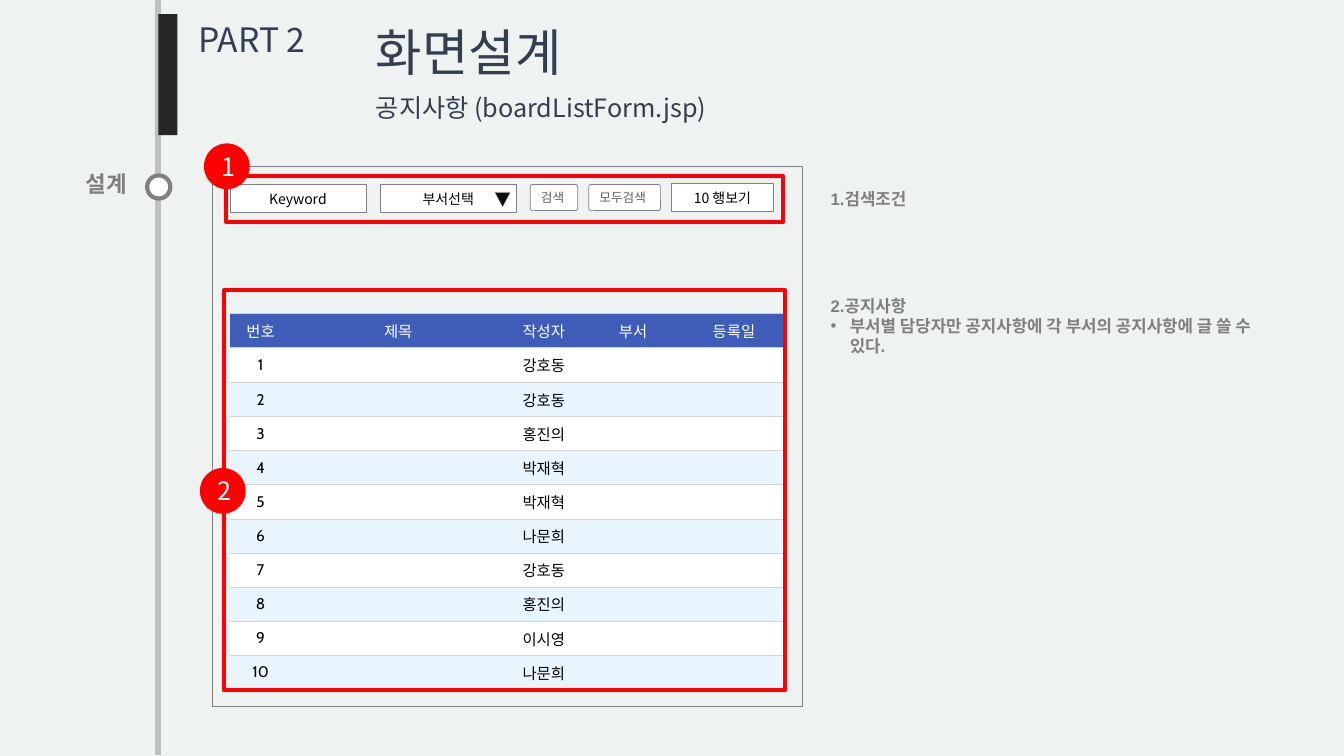
from dataclasses import dataclass

import pptx
import pptx.dml.color
import pptx.enum.shapes
import pptx.enum.text
import pptx.oxml.ns
import pptx.util
from lxml import etree

SHAPE = pptx.enum.shapes.MSO_SHAPE
ALIGN = pptx.enum.text.PP_ALIGN
ANCHOR = pptx.enum.text.MSO_ANCHOR
qn = pptx.oxml.ns.qn
CELL = 0.1  # side of one square of the layout grid, in inches


@dataclass(frozen=True)
class Theme:
    background: str = "EEF2F0"
    rail: str = "BFBFBF"
    bar: str = "262626"
    heading: str = "333F50"
    muted: str = "7F7F7F"
    outline: str = "808080"
    arrow: str = "0D0D0D"
    button: str = "5F5F5F"
    accent: str = "FF0000"
    white: str = "FFFFFF"
    black: str = "000000"
    table_head: str = "3F5DB8"
    table_band: str = "E8F5FF"
    table_rule: str = "D2D2D2"
    korean: str = "Noto Sans CJK KR"
    title: int = 36
    chapter: int = 24
    subtitle: int = 18
    section: int = 16
    note: int = 12
    table: int = 11
    field: int = 10
    small: int = 9


T = Theme()


@dataclass(frozen=True)
class Box:
    """A place on the grid, in columns and rows."""
    col: float
    row: float
    cols: float
    rows: float

    def emu(self) -> list[int]:
        return [grid(n) for n in (self.col, self.row, self.cols, self.rows)]


@dataclass(frozen=True)
class Style:
    size: int
    color: str
    font: str = T.korean
    bold: bool = False


@dataclass(frozen=True)
class Label:
    box: Box
    lines: tuple[str, ...]
    style: Style
    align: ALIGN = ALIGN.LEFT
    wrap: bool = False


@dataclass(frozen=True)
class Control:
    box: Box
    text: str
    button: bool = False


@dataclass(frozen=True)
class Marker:
    frame: Box
    badge_col: float
    badge_row: float


def grid(n: float) -> int:
    return pptx.util.Inches(round(n * CELL, 3))


def rgb(value: str) -> pptx.dml.color.RGBColor:
    return pptx.dml.color.RGBColor.from_string(value)


def add_run(p, text: str, style: Style) -> None:
    r = p.add_run()
    r.text = text
    r.font.size, r.font.bold = pptx.util.Pt(style.size), style.bold
    r.font.name, r.font.color.rgb = style.font, rgb(style.color)
    etree.SubElement(r.font._element, qn("a:ea")).set("typeface", T.korean)


def add_shape(s, kind: SHAPE, box: Box, fill: str = "", line: str = "", width: float = 0):
    sp = s.shapes.add_shape(kind, *box.emu())
    sp.shadow.inherit = False
    if fill:
        sp.fill.solid()
        sp.fill.fore_color.rgb = rgb(fill)
    else:
        sp.fill.background()
    if line:
        sp.line.color.rgb, sp.line.width = rgb(line), pptx.util.Pt(width)
    else:
        sp.line.fill.background()
    return sp


def set_caption(sp, text: str, style: Style, align: ALIGN = ALIGN.CENTER) -> None:
    tf = sp.text_frame
    tf.vertical_anchor = ANCHOR.MIDDLE
    tf.paragraphs[0].alignment = align
    add_run(tf.paragraphs[0], text, style)


def add_label(s, label: Label) -> None:
    tf = s.shapes.add_textbox(*label.box.emu()).text_frame
    tf.word_wrap = label.wrap
    tf.auto_size = pptx.enum.text.MSO_AUTO_SIZE.SHAPE_TO_FIT_TEXT
    for i, line in enumerate(label.lines):
        p = tf.add_paragraph() if i else tf.paragraphs[0]
        p.alignment = label.align
        if i:  # lines below the heading are bulleted
            pPr = p._p.get_or_add_pPr()
            pPr.set("marL", str(grid(1.9)))
            pPr.set("indent", str(-grid(1.9)))
            etree.SubElement(pPr, qn("a:buFont")).set("typeface", "Arial")
            etree.SubElement(pPr, qn("a:buChar")).set("char", "•")
        add_run(p, line, label.style)


def add_control(s, control: Control) -> None:
    if not control.button:
        sp = add_shape(s, SHAPE.RECTANGLE, control.box, T.white, T.outline, 0.25)
        set_caption(sp, control.text, Style(T.field, T.black))
        return
    sp = add_shape(s, SHAPE.ROUNDED_RECTANGLE, control.box, T.white, T.outline, 0.5)
    sp.adjustments[0] = 0.09
    sp.text_frame.word_wrap = False
    set_caption(sp, control.text, Style(T.small, T.button, "Karla"), ALIGN.LEFT)


def add_marker(s, number: int, marker: Marker) -> None:
    add_shape(s, SHAPE.RECTANGLE, marker.frame, line=T.accent, width=2.75)
    badge = Box(marker.badge_col, marker.badge_row, 4.4, 4.4)
    sp = add_shape(s, SHAPE.OVAL, badge, T.accent, T.accent, 1)
    set_caption(sp, str(number), Style(T.subtitle, T.white))


def set_cell(cell, text: str, style: Style, fill: str) -> None:
    cell.margin_left = cell.margin_right = grid(0.6)
    cell.margin_top = cell.margin_bottom = grid(0.3)
    cell.vertical_anchor = ANCHOR.MIDDLE
    tcPr = cell._tc.get_or_add_tcPr()
    for side in ("lnL", "lnR", "lnT", "lnB"):
        ln = etree.SubElement(tcPr, qn(f"a:{side}"))
        if side in ("lnL", "lnR"):
            etree.SubElement(ln, qn("a:noFill"))
        else:
            ln.set("w", str(pptx.util.Pt(0.75)))
            solid = etree.SubElement(ln, qn("a:solidFill"))
            etree.SubElement(solid, qn("a:srgbClr")).set("val", T.table_rule)
    cell.fill.solid()
    cell.fill.fore_color.rgb = rgb(fill)
    p = cell.text_frame.paragraphs[0]
    p.alignment = ALIGN.CENTER
    if text:
        add_run(p, text, style)
    etree.SubElement(p._p, qn("a:endParaRPr")).set("sz", str(style.size * 100))


def add_notice_table(s, box: Box, widths: list[float], header: list[str], writers: list[str]) -> None:
    rows = [header] + [[str(n), "", name, "", ""] for n, name in enumerate(writers, 1)]
    table = s.shapes.add_table(len(rows), len(header), *box.emu()).table
    for column, width in zip(table.columns, widths):
        column.width = grid(width)
    for i, row in enumerate(rows):
        table.rows[i].height = grid(3.5 if i == 1 else 3.38)
        style = Style(T.table, T.black, "Cabin") if i else Style(T.table, T.white)
        fill = (T.white if i % 2 else T.table_band) if i else T.table_head
        for j, text in enumerate(row):
            set_cell(table.cell(i, j), text, style, fill)


NOTE = Style(T.note, T.muted, "Arial", True)
LABELS = [
    Label(Box(7.3, 16.4, 6.5, 3.7), ("설계",), Style(T.section, T.muted, bold=True), ALIGN.CENTER),
    Label(Box(18.7, 1.4, 12.7, 5), ("PART 2",), Style(T.chapter, T.heading)),
    Label(Box(36.3, 1.6, 22.2, 7.1), ("화면설계",), Style(T.title, T.heading)),
    Label(Box(36.3, 8.7, 43.1, 4), ("공지사항 (boardListForm.jsp)",), Style(T.subtitle, T.heading), wrap=True),
    Label(Box(81.4, 18.2, 44, 3), ("1.검색조건",), NOTE, wrap=True),
    Label(Box(81.4, 28.8, 44, 9.1),
          ("2.공지사항", "부서별 담당자만 공지사항에 각 부서의 공지사항에 글 쓸 수 있다."), NOTE, wrap=True),
]
CONTROLS = [
    Control(Box(22.8, 18.3, 13.5, 2.8), "Keyword"),
    Control(Box(37.7, 18.3, 13.5, 2.8), "부서선택"),
    Control(Box(52.6, 18.3, 4.7, 2.6), "검색", button=True),
    Control(Box(58.4, 18.3, 7.1, 2.6), "모두검색", button=True),
    Control(Box(66.6, 18.2, 10.1, 2.8), "10 행보기"),
]
MARKERS = [
    Marker(Box(22.4, 17.5, 55.3, 4.5), 20.3, 14.3),
    Marker(Box(22.2, 28.8, 55.7, 39.7), 19.9, 46.5),
]
HEADER = ["번호", "제목", "작성자", "부서", "등록일"]
WRITERS = ["강호동", "강호동", "홍진의", "박재혁", "박재혁", "나문희", "강호동", "홍진의", "이시영", "나문희"]


def main() -> None:
    prs = pptx.Presentation()
    prs.slide_width, prs.slide_height = grid(133.3), grid(75)
    s = prs.slides.add_slide(prs.slide_layouts[6])
    s.background.fill.solid()
    s.background.fill.fore_color.rgb = rgb(T.background)

    # Timeline rail, title bar and section dot
    rail = s.shapes.add_connector(
        pptx.enum.shapes.MSO_CONNECTOR.STRAIGHT, grid(15.7), 0, grid(15.7), grid(74.9))
    rail.line.color.rgb, rail.line.width = rgb(T.rail), pptx.util.Pt(4.5)
    etree.SubElement(rail._element.spPr, qn("a:effectLst"))
    add_shape(s, SHAPE.RECTANGLE, Box(15.7, 1.4, 1.9, 12), T.bar)
    add_shape(s, SHAPE.OVAL, Box(14.6, 17.4, 2.3, 2.3), T.white, T.outline, 3)

    # Headings and notes
    for label in LABELS:
        add_label(s, label)

    # Screen mock-up: notice table and search controls
    add_shape(s, SHAPE.RECTANGLE, Box(21.1, 16.5, 58.5, 53.6), line=T.outline, width=0.5)
    add_notice_table(s, Box(22.8, 31.1, 55, 37.4), [6.1, 21.2, 7.7, 10, 10], HEADER, WRITERS)
    for control in CONTROLS:
        add_control(s, control)
    arrow = add_shape(s, SHAPE.ISOSCELES_TRIANGLE, Box(49.1, 19.1, 1.5, 1.4), T.arrow, T.outline, 0.25)
    arrow.rotation = 180

    # Numbered red callouts
    for number, marker in enumerate(MARKERS, 1):
        add_marker(s, number, marker)

    prs.save("out.pptx")


if __name__ == "__main__":
    main()
